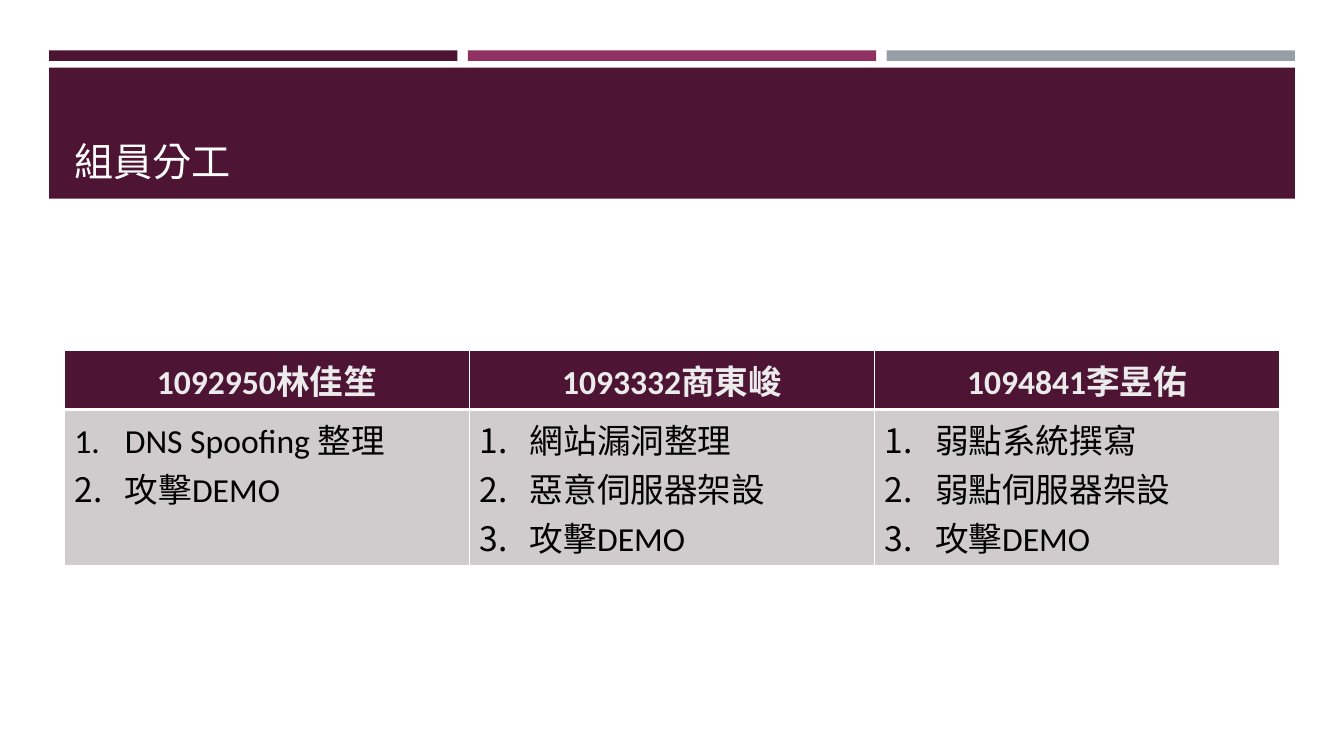
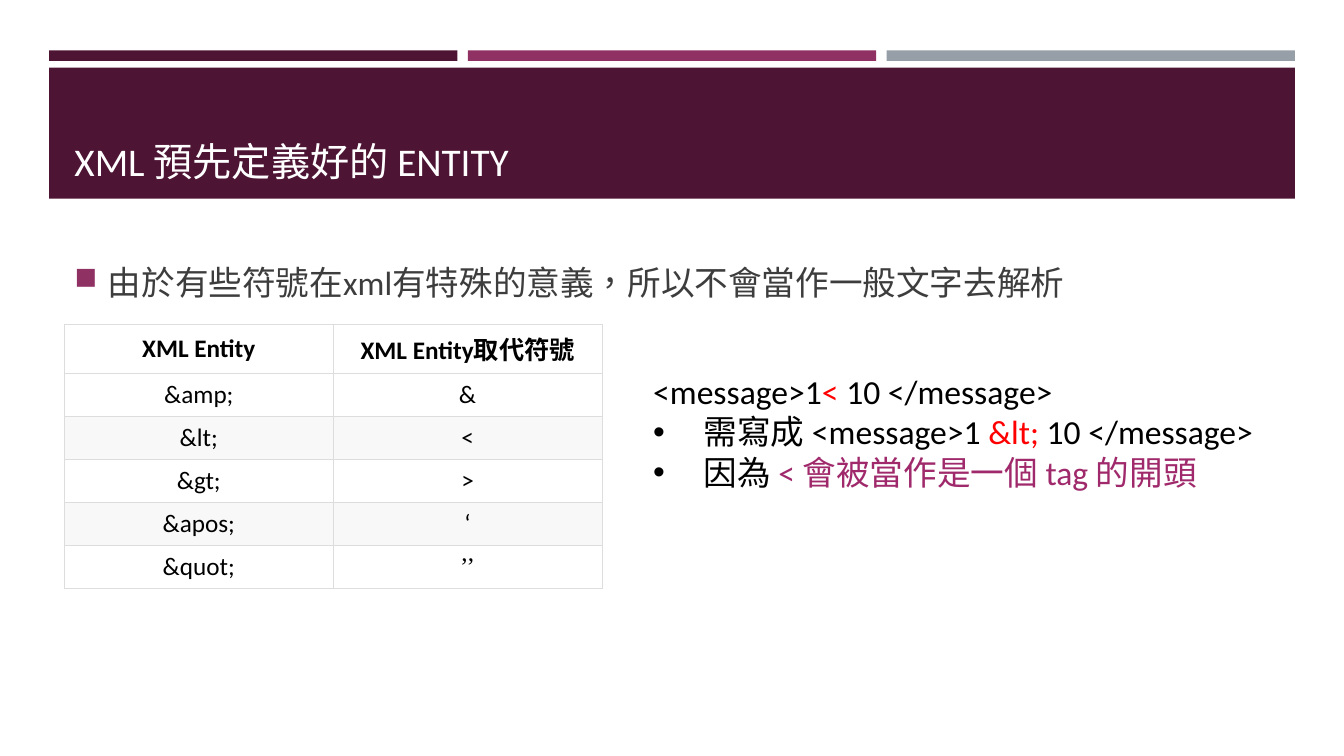
from pptx import Presentation
from pptx import util as u
from pptx.dml.color import RGBColor
from pptx.enum import lang, shapes, text
from pptx.oxml import ns
from lxml import etree

Pt = u.Pt
FONT = "Calibri"
PLUM, BERRY, GREY, WHITE, BLACK = "4D1434", "903163", "969FA7", "FFFFFF", "000000"
BODY_FILL, RED, MAGENTA = "D0CCCE", "FF0000", "9F296B"
PAGE_WIDTH, PAGE_HEIGHT = 960, 540
BAND_WIDTH, BAR_GAP = 890, 7.5
BAND_LEFT = (PAGE_WIDTH - BAND_WIDTH) / 2
TEXT_LEFT, TEXT_WIDTH = 46, 868
LEFT, CENTER = text.PP_ALIGN.LEFT, text.PP_ALIGN.CENTER
NUMBER = [("buFont", {"typeface": "+mj-lt"}), ("buAutoNum", {"type": "arabicPeriod"})]
DOT = [("buFont", {"typeface": "Arial"}), ("buChar", {"char": "•"})]
SQUARE = [("buSzPct", {"val": "92000"}), ("buChar", {"char": "■"})]


def color(value):
    return RGBColor.from_string(value)


def add_xml(parent, tag, **attributes):
    return etree.SubElement(parent, ns.qn("a:" + tag), attributes)


def add_color_xml(parent, value):
    add_xml(add_xml(parent, "solidFill"), "srgbClr", val=value)


def set_bullet(para, bullet, indent, bullet_color=None):
    props = para._p.get_or_add_pPr()
    props.set("marL", str(Pt(indent)))
    props.set("indent", str(-Pt(indent)))
    if bullet_color:
        add_xml(add_xml(props, "buClr"), "srgbClr", val=bullet_color)
    for tag, attributes in bullet:
        add_xml(props, tag, **attributes)


def write(para, spans, size, fill, bold=False, align=LEFT, font=FONT, cjk_font=None):
    """Fill a paragraph; a span is a string or a (string, colour) pair."""
    para.alignment = align
    para.font.name, para.font.size, para.font.bold = font, Pt(size), bold
    para.font.color.rgb = color(fill)
    if cjk_font:
        add_xml(para._p.pPr.find(ns.qn("a:defRPr")), "ea", typeface=cjk_font)
    for span in [spans] if isinstance(spans, str) else spans:
        words, span_color = (span, None) if isinstance(span, str) else span
        run = para.add_run()
        run.text = words
        run.font.language_id = lang.MSO_LANGUAGE_ID.TRADITIONAL_CHINESE
        if span_color:
            run.font.color.rgb = color(span_color)


def paragraphs(frame, count):
    return [frame.paragraphs[0]] + [frame.add_paragraph() for _ in range(count - 1)]


def add_rect(page, left, top, width, height, fill):
    rect = page.shapes.add_shape(shapes.MSO_SHAPE.RECTANGLE,
                                 Pt(left), Pt(top), Pt(width), Pt(height))
    rect.shadow.inherit = False
    rect.fill.solid()
    rect.fill.fore_color.rgb = color(fill)
    rect.line.fill.background()


def add_box(page, left, top, width, height, anchor):
    frame = page.shapes.add_textbox(Pt(left), Pt(top), Pt(width), Pt(height)).text_frame
    frame.word_wrap = True
    frame.vertical_anchor = anchor
    return frame


def add_titled_page(deck, heading):
    page = deck.slides.add_slide(deck.slide_layouts[5])
    # Three bars above the title band
    bar_width = (BAND_WIDTH - 2 * BAR_GAP) / 3
    for index, fill in enumerate((PLUM, BERRY, GREY)):
        add_rect(page, BAND_LEFT + index * (bar_width + BAR_GAP), 36, bar_width, 7.5, fill)
    add_rect(page, BAND_LEFT, 48.25, BAND_WIDTH, 93.75, PLUM)
    # Title, brought in front of its band
    title = page.shapes.title
    title.element.getparent().append(title.element)
    title.left, title.top, title.width, title.height = map(Pt, (TEXT_LEFT, 55.5, TEXT_WIDTH, 80))
    frame = title.text_frame
    frame.auto_size = text.MSO_AUTO_SIZE.NONE
    frame.vertical_anchor = text.MSO_ANCHOR.BOTTOM
    write(frame.paragraphs[0], heading, 28, WHITE, cjk_font=FONT)
    return page


def add_grid(page, left, top, width, row_heights, column_count):
    table = page.shapes.add_table(len(row_heights), column_count, Pt(left), Pt(top),
                                  Pt(width), Pt(sum(row_heights))).table
    table.horz_banding = False
    for column in table.columns:
        column.width = Pt(width / column_count)
    for row, height in zip(table.rows, row_heights):
        row.height = Pt(height)
    return table


def style_cell(cell, fill, border, line_width, bottom_width=None):
    props = cell._tc.get_or_add_tcPr()
    for side in ("lnL", "lnR", "lnT", "lnB"):
        side_width = bottom_width if side == "lnB" and bottom_width else line_width
        add_color_xml(add_xml(props, side, w=str(Pt(side_width))), border)
    cell.fill.solid()
    cell.fill.fore_color.rgb = color(fill)


def add_duty_table(page, left, top, width, members):
    table = add_grid(page, left, top, width, (42, 111), len(members))
    for column, (member, duties) in enumerate(members):
        header, body = table.cell(0, column), table.cell(1, column)
        style_cell(header, PLUM, WHITE, 1, bottom_width=3)
        write(header.text_frame.paragraphs[0], member, 24, "EBEBEB", True, CENTER)
        style_cell(body, BODY_FILL, WHITE, 1)
        for para, duty in zip(paragraphs(body.text_frame, len(duties)), duties):
            set_bullet(para, NUMBER, 36)
            write(para, duty, 24, BLACK)


def add_entity_table(page, left, top, width, rows):
    heights = [35.25] + [30.75] * (len(rows) - 1)
    table = add_grid(page, left, top, width, heights, 2)
    for row, words in enumerate(rows):
        for column, word in enumerate(words):
            cell = table.cell(row, column)
            cell.vertical_anchor = text.MSO_ANCHOR.MIDDLE
            cell.margin_left = cell.margin_right = Pt(10)
            cell.margin_top = cell.margin_bottom = Pt(4.5)
            striped = row > 0 and row % 2 == 0
            style_cell(cell, "F8F8F8" if striped else WHITE, "DDDDDD", 0.75)
            font = "Times New Roman" if word == "’’" else FONT
            write(cell.text_frame.paragraphs[0], word, 18, BLACK, row == 0, CENTER, font)


def add_lead(page, left, top, width, height, sentence):
    para = add_box(page, left, top, width, height, text.MSO_ANCHOR.MIDDLE).paragraphs[0]
    set_bullet(para, SQUARE, 24, BERRY)
    para.space_after = Pt(6)
    write(para, sentence, 24, "3D3D3D")


def add_example(page, left, top, width, height, lines):
    frame = add_box(page, left, top, width, height, text.MSO_ANCHOR.TOP)
    for index, (para, spans) in enumerate(zip(paragraphs(frame, len(lines)), lines)):
        if index:
            set_bullet(para, DOT, 36)
        write(para, spans, 24, BLACK, cjk_font=FONT)


def main():
    deck = Presentation()
    deck.slide_width, deck.slide_height = Pt(PAGE_WIDTH), Pt(PAGE_HEIGHT)

    # Division of work
    page = add_titled_page(deck, "組員分工")
    add_duty_table(page, TEXT_LEFT, 250.5, TEXT_WIDTH, [
        ("1092950林佳笙", ["DNS Spoofing 整理", "攻擊DEMO"]),
        ("1093332商東峻", ["網站漏洞整理", "惡意伺服器架設", "攻擊DEMO"]),
        ("1094841李昱佑", ["弱點系統撰寫", "弱點伺服器架設", "攻擊DEMO"]),
    ])

    # Predefined entities
    page = add_titled_page(deck, "XML 預先定義好的 ENTITY")
    add_lead(page, TEXT_LEFT, 171.5, TEXT_WIDTH, 60,
             "由於有些符號在xml有特殊的意義，所以不會當作一般文字去解析")
    add_entity_table(page, TEXT_LEFT, 231.5, 384, [
        ("XML Entity", "XML Entity取代符號"),
        ("&amp;", "&"),
        ("&lt;", "<"),
        ("&gt;", ">"),
        ("&apos;", "‘"),
        ("&quot;", "’’"),
    ])
    add_example(page, 459.5, 261.5, 480, 94, [
        ["<message>1", ("<", RED), " 10 </message>"],
        ["需寫成 <message>1 ", ("&lt; ", RED), "10 </message>"],
        ["因為 ", ("< 會被當作是一個 tag 的開頭", MAGENTA)],
    ])
    deck.save("out.pptx")


if __name__ == "__main__":
    main()
